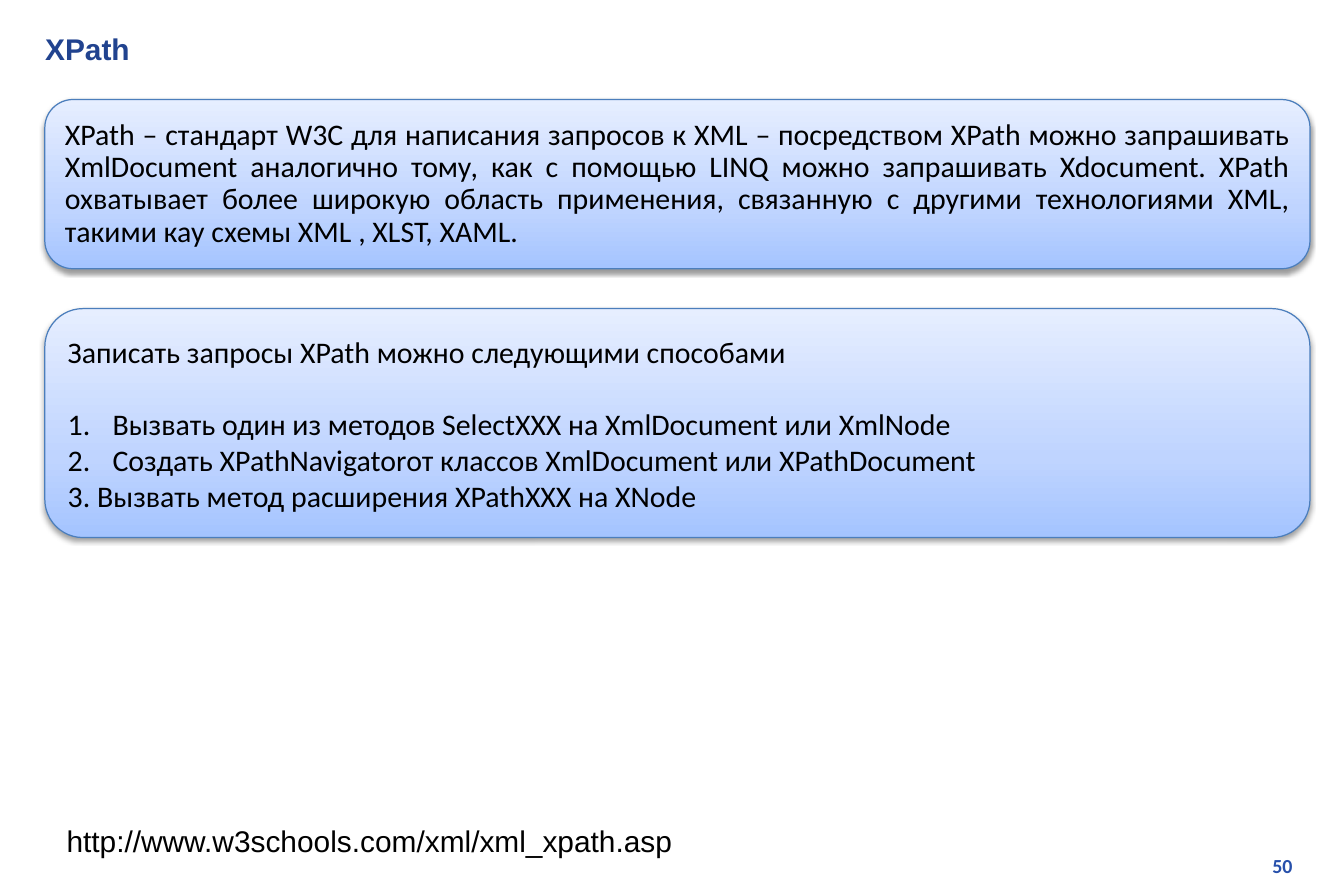
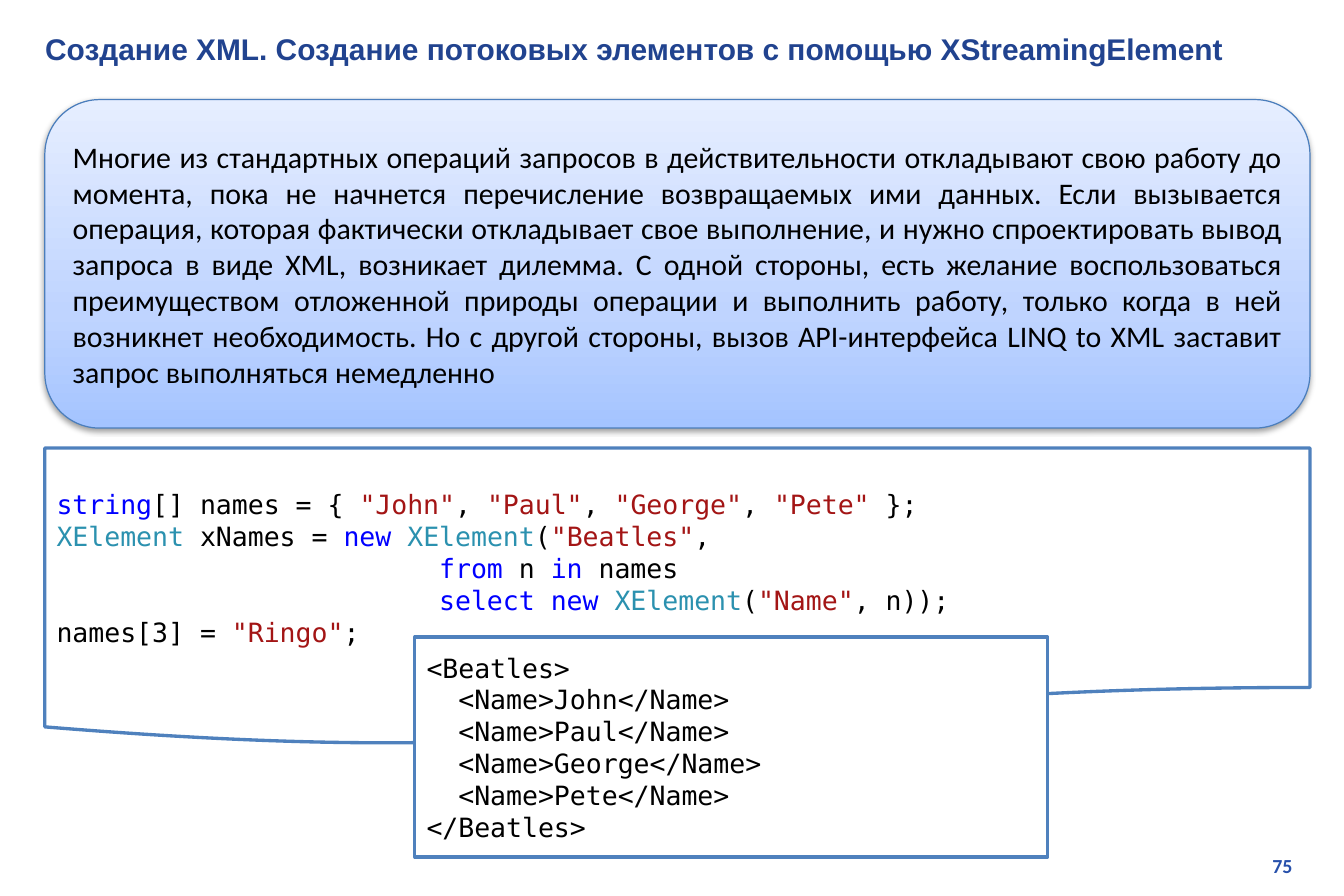
from copy import deepcopy

from pptx import Presentation
from pptx.dml.color import RGBColor
from pptx.enum.shapes import MSO_SHAPE
from pptx.enum.text import MSO_ANCHOR, MSO_AUTO_SIZE, PP_ALIGN
from pptx.oxml import parse_xml
from pptx.oxml.ns import nsdecls, qn
from pptx.util import Pt

BLACK = RGBColor(0x00, 0x00, 0x00)
WHITE = RGBColor(0xFF, 0xFF, 0xFF)
NAVY = RGBColor(0x21, 0x43, 0x8F)
BLUE = RGBColor(0x27, 0x50, 0xAB)
EDGE = RGBColor(0x4B, 0x7E, 0xBC)
FRAME = RGBColor(0x4F, 0x81, 0xBD)
KEYWORD = RGBColor(0x00, 0x00, 0xFF)
STRING = RGBColor(0xA3, 0x15, 0x15)
TYPE = RGBColor(0x2B, 0x91, 0xAF)
STOPS = (
    (0, RGBColor(0xA4, 0xC4, 0xFF)),
    (0.35, RGBColor(0xBF, 0xD4, 0xFF)),
    (1, RGBColor(0xE6, 0xEE, 0xFF)),
)

SOFT = MSO_SHAPE.FLOWCHART_ALTERNATE_PROCESS
ROUND = MSO_SHAPE.ROUNDED_RECTANGLE
PAGE = MSO_SHAPE.FLOWCHART_DOCUMENT
RECT = MSO_SHAPE.RECTANGLE
LEFT, RIGHT, JUSTIFY = PP_ALIGN.LEFT, PP_ALIGN.RIGHT, PP_ALIGN.JUSTIFY
MIDDLE = MSO_ANCHOR.MIDDLE
FIXED = MSO_AUTO_SIZE.NONE

HEAD, BODY, MONO = "Arial", "Calibri", "DejaVu Sans Mono"
EDGE_X, FULL = 27, 762.5
TOP = 60

KEYWORDS = {"string", "new", "from", "in", "select"}
SHADOW = (
    f'<a:outerShdw {nsdecls("a")} blurRad="40000" dist="20000" dir="5400000" '
    'rotWithShape="0"><a:srgbClr val="000000"><a:alpha val="38000"/>'
    "</a:srgbClr></a:outerShdw>"
)

ABOUT = (
    "XPath – стандарт W3C для написания запросов к XML – посредством XPath "
    "можно запрашивать XmlDocument аналогично тому, как с помощью LINQ можно "
    "запрашивать Xdocument. XPath охватывает более широкую область применения, "
    "связанную с другими технологиями XML, такими кау схемы XML , XLST, XAML."
)
WAYS = (
    "Записать запросы XPath можно следующими способами",
    "Вызвать один из методов SelectXXX на XmlDocument или XmlNode",
    "Создать XPathNavigatorот классов XmlDocument или XPathDocument",
    "3. Вызвать метод расширения XPathXXX на XNode",
)
DELAY = (
    "Многие из стандартных операций запросов в действительности откладывают "
    "свою работу до момента, пока не начнется перечисление возвращаемых ими "
    "данных. Если вызывается операция, которая фактически откладывает свое "
    "выполнение, и нужно спроектировать вывод запроса в виде XML, возникает "
    "дилемма. С одной стороны, есть желание воспользоваться преимуществом "
    "отложенной природы операции и выполнить работу, только когда в ней "
    "возникнет необходимость. Но с другой стороны, вызов API-интерфейса LINQ "
    "to XML заставит запрос выполняться немедленно"
)
SOURCE = """\
string|[] names = { |"John"|, |"Paul"|, |"George"|, |"Pete"| };
XElement| xNames = |new| |XElement|(|"Beatles"|,
                        |from| n |in| names
                        |select| |new| |XElement|(|"Name"|, n));
names[3] = |"Ringo"|;"""
RESULT = """\
<Beatles>
  <Name>John</Name>
  <Name>Paul</Name>
  <Name>George</Name>
  <Name>Pete</Name>
</Beatles>"""


def tint(token):
    """Give the syntax colour of one code token."""
    if token in KEYWORDS:
        return KEYWORD
    if token.startswith('"'):
        return STRING
    return TYPE if token == "XElement" else BLACK


def style(font, name, size, color=BLACK, bold=False):
    font.name, font.size, font.bold = name, Pt(size), bold
    font.color.rgb = color


def number(par):
    """Turn a paragraph into an automatically numbered list item."""
    props = par._p.get_or_add_pPr()
    props.set("marL", str(Pt(27)))
    props.set("indent", str(Pt(-27)))
    props.append(parse_xml(f'<a:buAutoNum {nsdecls("a")} type="arabicPeriod"/>'))


class Deck:
    """Holds the shared style and the current slide."""

    def __init__(self):
        self.show = Presentation()
        self.show.slide_width, self.show.slide_height = Pt(810), Pt(540)
        self.slide = None

    def page(self, title, num):
        self.slide = self.show.slides.add_slide(self.show.slide_layouts[5])
        head = self.slide.shapes.title
        head.left, head.top, head.width, head.height = map(Pt, (20, 14.5, 773, 29))
        frame = head.text_frame
        frame.text = title
        frame.auto_size, frame.vertical_anchor = FIXED, MIDDLE
        par = frame.paragraphs[0]
        par.alignment = LEFT
        style(par.runs[0].font, HEAD, 18, NAVY, True)
        self.label(615, 511, 171, 22, num, BODY, 12, BLUE, True, RIGHT)

    def label(self, x, y, w, h, text, name, size, color=BLACK, bold=False, align=LEFT):
        frame = self.slide.shapes.add_textbox(Pt(x), Pt(y), Pt(w), Pt(h)).text_frame
        frame.word_wrap = True
        frame.text = text
        par = frame.paragraphs[0]
        par.alignment = align
        style(par.runs[0].font, name, size, color, bold)

    def box(self, kind, x, y, w, h, edge, weight):
        shape = self.slide.shapes.add_shape(kind, Pt(x), Pt(y), Pt(w), Pt(h))
        shape.shadow.inherit = False
        shape.line.color.rgb, shape.line.width = edge, Pt(weight)
        shape.text_frame.word_wrap = True
        shape.text_frame.vertical_anchor = MIDDLE
        return shape

    def panel(self, kind, y, h, text, align=LEFT, spacing=None):
        """Add a full-width gradient panel and return its paragraphs."""
        shape = self.box(kind, EDGE_X, y, FULL, h, EDGE, 0.75)
        fill, props = shape.fill, shape._element.spPr
        fill.gradient()
        fill.gradient_angle = 90
        stops = props.find(".//" + qn("a:gsLst"))
        stops.append(deepcopy(stops[0]))
        for stop, (place, color) in zip(fill.gradient_stops, STOPS):
            stop.position, stop.color.rgb = place, color
        props.find(qn("a:effectLst")).append(parse_xml(SHADOW))
        shape.text_frame.text = text
        pars = shape.text_frame.paragraphs
        for par in pars:
            par.alignment, par.line_spacing = align, spacing
            style(par.runs[0].font, BODY, 18)
        return pars

    def code(self, kind, x, y, w, h, text):
        """Add a framed listing; bars in the text part its tokens."""
        shape = self.box(kind, x, y, w, h, FRAME, 2)
        shape.fill.solid()
        shape.fill.fore_color.rgb = WHITE
        frame = shape.text_frame
        frame.text = text.replace("|", "")
        for par, line in zip(frame.paragraphs, text.split("\n")):
            par.alignment = LEFT
            par.clear()
            for token in line.split("|"):
                run = par.add_run()
                run.text = token
                style(run.font, MONO, 16, tint(token))


def main():
    deck = Deck()

    deck.page("XPath", "50")
    deck.panel(SOFT, TOP, 102, ABOUT, JUSTIFY, 0.9)
    deck.label(33, 492, 383, 29, "http://www.w3schools.com/xml/xml_xpath.asp", HEAD, 18)
    ways = deck.panel(SOFT, 186, 138, "\n".join(WAYS))
    for way in ways[1:3]:
        number(way)
    ways[1].space_before = Pt(22)

    deck.page("Создание XML. Создание потоковых элементов с помощью XStreamingElement", "75")
    deck.code(PAGE, EDGE_X, 270, FULL, 180, SOURCE)
    deck.panel(ROUND, TOP, 198, DELAY, JUSTIFY)
    deck.code(RECT, 250, 384, 381.5, 132.5, RESULT)

    deck.show.save("out.pptx")


if __name__ == "__main__":
    main()
